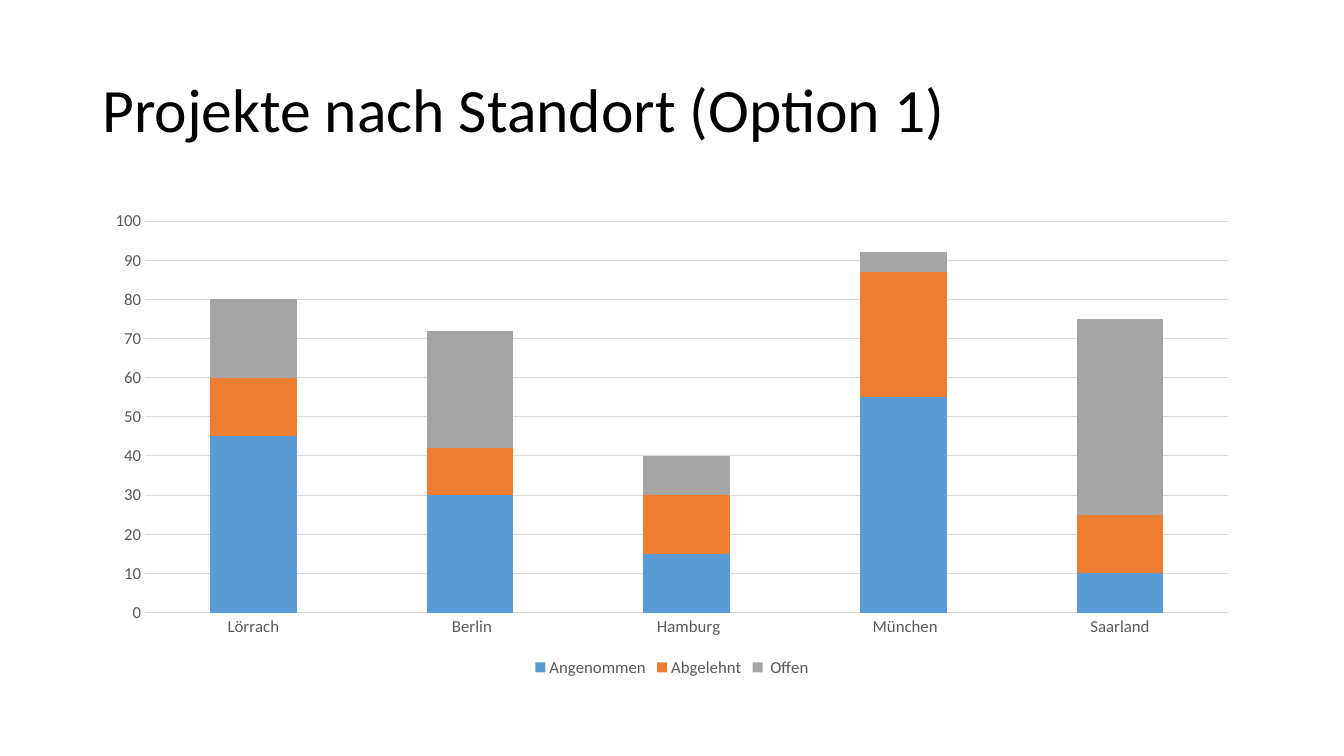
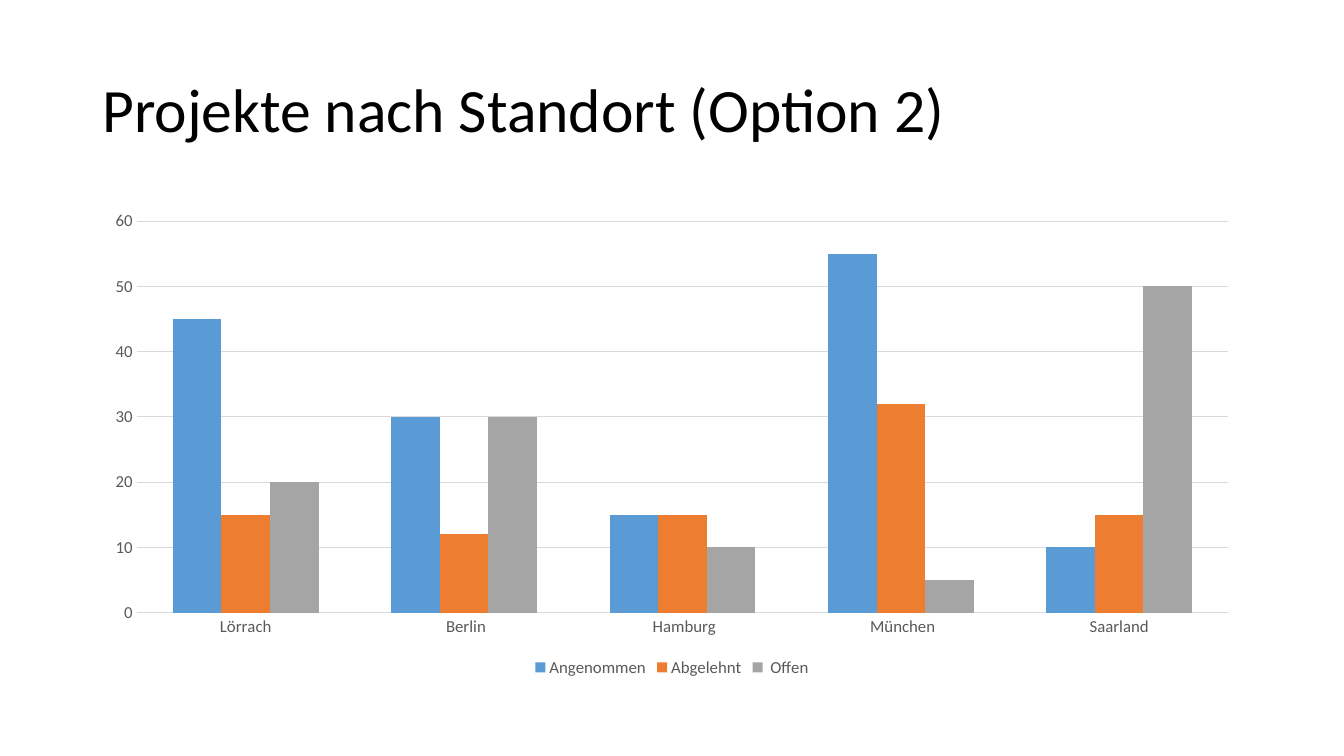
import pptx
import pptx.chart.data
import pptx.dml.color
import pptx.enum.chart
import pptx.enum.text
import pptx.util

PX = 9525
CITIES = ["Lörrach", " Berlin", " Hamburg", " München", "Saarland"]
SERIES = [
    ("Angenommen", [45, 30, 15, 55, 10], "5B9BD5"),
    ("Abgelehnt", [15, 12, 15, 32, 15], "ED7D31"),
    (" Offen", [20, 30, 10, 5, 50], "A5A5A5"),
]


def px(n):
    return pptx.util.Emu(n * PX)


def rgb(value):
    return pptx.dml.color.RGBColor.from_string(value)


class Deck:
    FONT = "Calibri"
    TITLE = "000000"
    LABEL = "595959"
    GRID = "D9D9D9"
    LEFT, WIDTH = 88, 1104

    def __init__(self):
        self.prs = pptx.Presentation()
        self.prs.slide_width = px(1280)
        self.prs.slide_height = px(720)
        self.slide = None

    def add_slide(self, title):
        self.slide = self.prs.slides.add_slide(self.prs.slide_layouts[5])
        self.title(title)

    def place(self, sp, top, height):
        sp.left, sp.top = px(self.LEFT), px(top)
        sp.width, sp.height = px(self.WIDTH), px(height)

    def font(self, font, size, color):
        font.name = self.FONT
        font.size = pptx.util.Pt(size)
        font.color.rgb = rgb(color)

    def line(self, line):
        line.color.rgb = rgb(self.GRID)
        line.width = pptx.util.Pt(0.75)

    def title(self, text):
        sp = self.slide.shapes.title
        self.place(sp, 38, 139)
        tf = sp.text_frame
        tf.text = text
        tf.word_wrap = True
        tf.auto_size = pptx.enum.text.MSO_AUTO_SIZE.NONE
        tf.vertical_anchor = pptx.enum.text.MSO_ANCHOR.MIDDLE
        p = tf.paragraphs[0]
        p.alignment = pptx.enum.text.PP_ALIGN.LEFT
        p.line_spacing = 0.9
        self.font(p.runs[0].font, 44, self.TITLE)

    def axis(self, axis):
        axis.major_tick_mark = pptx.enum.chart.XL_TICK_MARK.NONE
        axis.minor_tick_mark = pptx.enum.chart.XL_TICK_MARK.NONE
        axis.format.line.fill.background()
        self.font(axis.tick_labels.font, 12, self.LABEL)

    def column_chart(self, kind, maximum, overlap, base_line):
        data = pptx.chart.data.CategoryChartData()
        data.categories = CITIES
        for name, values, _ in SERIES:
            data.add_series(name, values)
        frame = self.slide.shapes.add_chart(
            kind, px(self.LEFT), px(192), px(self.WIDTH), px(457), data)
        chart = frame.chart
        self.font(chart.font, 10, self.TITLE)
        chart.has_title = False

        plot = chart.plots[0]
        plot.gap_width = 150
        plot.overlap = overlap
        plot.vary_by_categories = False
        for series, (_, _, color) in zip(plot.series, SERIES):
            series.format.fill.solid()
            series.format.fill.fore_color.rgb = rgb(color)

        self.axis(chart.category_axis)
        if base_line:
            self.line(chart.category_axis.format.line)
        values = chart.value_axis
        self.axis(values)
        values.minimum_scale = 0
        values.maximum_scale = maximum
        values.major_unit = 10
        values.has_major_gridlines = True
        self.line(values.major_gridlines.format.line)

        chart.has_legend = True
        chart.legend.position = pptx.enum.chart.XL_LEGEND_POSITION.BOTTOM
        chart.legend.include_in_layout = False
        self.font(chart.legend.font, 12, self.LABEL)


def main():
    kinds = pptx.enum.chart.XL_CHART_TYPE
    deck = Deck()
    deck.add_slide("Projekte nach Standort (Option 1)")
    deck.column_chart(kinds.COLUMN_STACKED, 100, 100, True)
    deck.add_slide("Projekte nach Standort (Option 2)")
    deck.column_chart(kinds.COLUMN_CLUSTERED, 60, 0, False)
    deck.prs.save("out.pptx")


if __name__ == "__main__":
    main()
